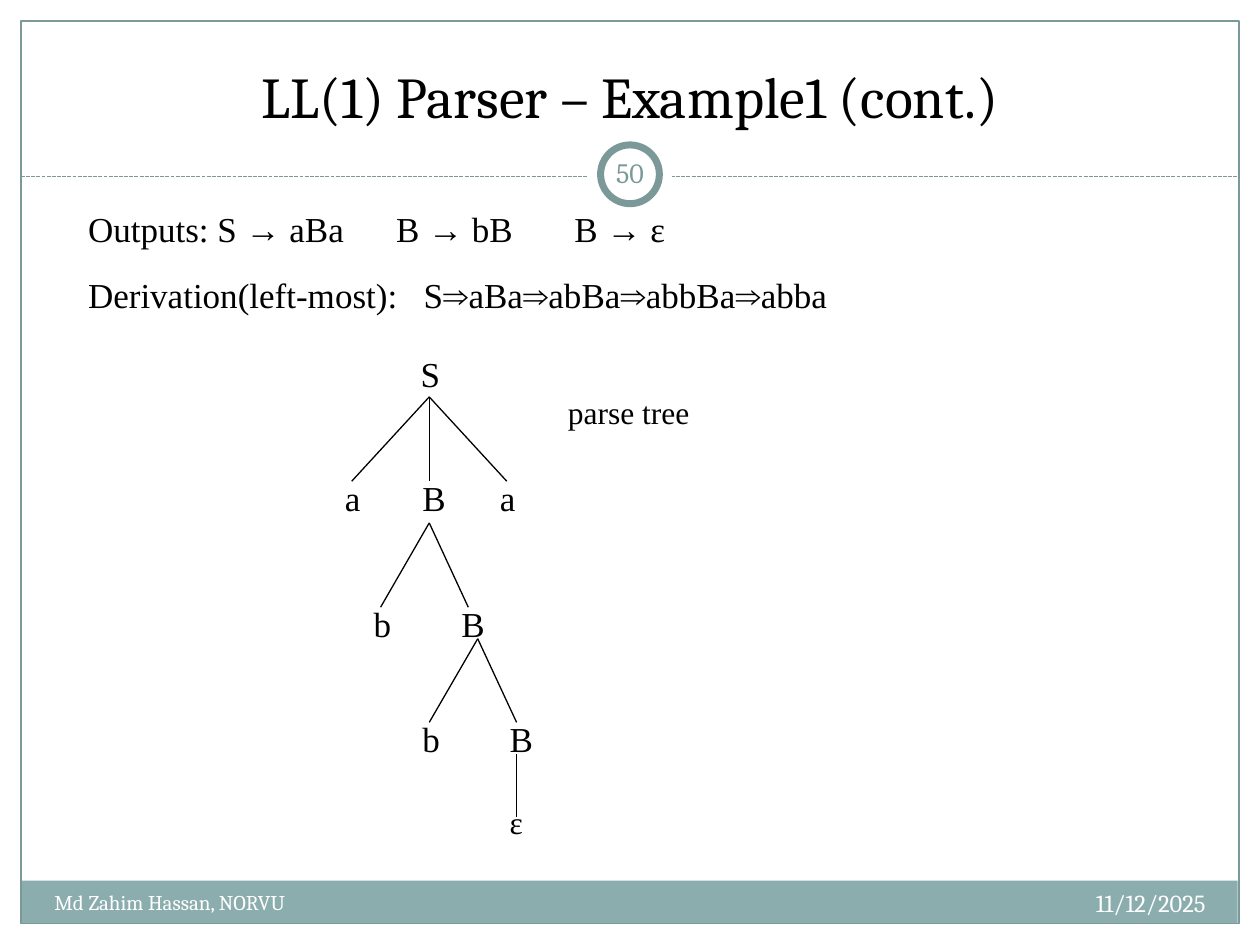
"""Build a slide showing an LL(1) derivation and its parse tree."""
from dataclasses import dataclass

import pptx
import pptx.dml.color
import pptx.enum.dml
import pptx.enum.shapes
import pptx.enum.text
import pptx.oxml
import pptx.oxml.ns
import pptx.util

Pt = pptx.util.Pt
Align = pptx.enum.text.PP_ALIGN
Anchor = pptx.enum.text.MSO_ANCHOR
ShapeType = pptx.enum.shapes.MSO_SHAPE

HEADING_FONT, BODY_FONT = "Cambria", "Times New Roman"
BLACK, WHITE, TEAL, BAND = "000000", "FFFFFF", "7C999A", "8CADAE"
LABEL_INDENT = 11


@dataclass(frozen=True)
class Label:
    text: str
    left: float
    top: float
    width: float
    height: float
    size: float
    font: str = BODY_FONT
    color: str = BLACK
    align: Align = Align.LEFT
    anchor: Anchor = Anchor.TOP
    inset: float = 7.2
    tabs: tuple[float, ...] = ()


@dataclass(frozen=True)
class Panel:
    kind: ShapeType
    left: float
    top: float
    width: float
    height: float
    fill: str | None = None
    line: str | None = None
    weight: float = 0.75


@dataclass(frozen=True)
class Branch:
    x: float
    top: float
    bottom: float
    children: tuple[tuple[str, float], ...]
    size: float = 20
    label_rise: float = 6.2


PANELS = (
    Panel(ShapeType.RECTANGLE, 11.75, 503.3, 695.5, 24.5, fill=BAND),
    Panel(ShapeType.RECTANGLE, 12, 12, 696, 515.8, line=TEAL),
)
BADGE = (
    Panel(ShapeType.OVAL, 336, 75.6, 48, 48, fill=WHITE),
    Panel(ShapeType.OVAL, 343.2, 82.8, 33.6, 33.6, fill=WHITE, line=TEAL, weight=4),
)
LABELS = (
    Label("LL(1) Parser – Example1 (cont.)", 24, 18, 672, 60, 33, HEADING_FONT,
          align=Align.CENTER, anchor=Anchor.BOTTOM),
    Label("11/12/2025", 456, 504, 240, 28.8, 14, HEADING_FONT, WHITE, Align.RIGHT),
    Label("Md Zahim Hassan, NORVU", 24, 504.7, 282, 28.8, 12, HEADING_FONT, WHITE),
    Label("50", 342, 81.5, 36, 34.5, 16, HEADING_FONT, TEAL,
          Align.CENTER, Anchor.MIDDLE, 3.6),
    Label("Outputs: S → aBa\tB → bB\tB → ε", 43.2, 115.2, 378, 31.5, 20, tabs=(176, 278)),
    Label("Derivation(left-most):\tS⇒aBa⇒abBa⇒abbBa⇒abba", 43.2, 152.8, 461, 31.5, 20,
          tabs=(191.8,)),
    Label("S", 233.2, 198, 26, 31.5, 20),
    Label("parse tree", 317.5, 221, 92, 28.8, 18),
)
BRANCHES = (
    Branch(245.3, 226.8, 275, (("a", 201), ("B", 245.3), ("a", 289.6))),
    Branch(245.3, 298.8, 347, (("b", 217.5), ("B", 267.6))),
    Branch(273, 365, 412.8, (("b", 245.3), ("B", 295.2))),
    Branch(295.2, 430.6, 466.6, (("ε", 295.2),), 18, 11.5),
)


def rgb(color: str) -> pptx.dml.color.RGBColor:
    return pptx.dml.color.RGBColor.from_string(color)


def draw_panel(slide: pptx.slide.Slide, panel: Panel) -> None:
    shape = slide.shapes.add_shape(
        panel.kind, Pt(panel.left), Pt(panel.top), Pt(panel.width), Pt(panel.height))
    shape.shadow.inherit = False
    if panel.fill:
        shape.fill.solid()
        shape.fill.fore_color.rgb = rgb(panel.fill)
    else:
        shape.fill.background()
    if panel.line:
        shape.line.color.rgb = rgb(panel.line)
        shape.line.width = Pt(panel.weight)
    else:
        shape.line.fill.background()


def draw_line(slide: pptx.slide.Slide, start: tuple[float, float],
              end: tuple[float, float], color: str = BLACK, dashed: bool = False) -> None:
    connector = slide.shapes.add_connector(
        pptx.enum.shapes.MSO_CONNECTOR.STRAIGHT, *map(Pt, start + end))
    connector.line.color.rgb = rgb(color)
    connector.line.width = Pt(0.75)
    if dashed:
        connector.line.dash_style = pptx.enum.dml.MSO_LINE.SQUARE_DOT
    properties = connector._element.spPr
    properties.append(pptx.oxml.parse_xml(
        f"<a:effectLst {pptx.oxml.ns.nsdecls('a')}/>"))


def set_tabs(paragraph: pptx.text.text._Paragraph, tabs: tuple[float, ...]) -> None:
    stops = "".join(f'<a:tab pos="{int(Pt(tab))}" algn="l"/>' for tab in tabs)
    paragraph._p.get_or_add_pPr().append(pptx.oxml.parse_xml(
        f"<a:tabLst {pptx.oxml.ns.nsdecls('a')}>{stops}</a:tabLst>"))


def draw_label(slide: pptx.slide.Slide, label: Label) -> None:
    shape = slide.shapes.add_textbox(
        Pt(label.left), Pt(label.top), Pt(label.width), Pt(label.height))
    frame = shape.text_frame
    frame.word_wrap = True
    frame.vertical_anchor = label.anchor
    frame.margin_left = frame.margin_right = Pt(label.inset)
    frame.margin_top = frame.margin_bottom = Pt(3.6)
    paragraph = frame.paragraphs[0]
    paragraph.alignment = label.align
    if label.tabs:
        set_tabs(paragraph, label.tabs)
    run = paragraph.add_run()
    run.text = label.text
    run.font.name = label.font
    run.font.size = Pt(label.size)
    run.font.color.rgb = rgb(label.color)


def draw_branch(slide: pptx.slide.Slide, branch: Branch) -> None:
    for symbol, x in branch.children:
        draw_line(slide, (branch.x, branch.top), (x, branch.bottom))
        draw_label(slide, Label(symbol, x - LABEL_INDENT, branch.bottom - branch.label_rise,
                                28, 31.5, branch.size))


def main() -> None:
    presentation = pptx.Presentation()
    presentation.slide_width, presentation.slide_height = Pt(720), Pt(540)
    slide = presentation.slides.add_slide(presentation.slide_layouts[6])
    for panel in PANELS:
        draw_panel(slide, panel)
    draw_line(slide, (12, 100.8), (708, 100.8), TEAL, dashed=True)
    for panel in BADGE:
        draw_panel(slide, panel)
    for label in LABELS:
        draw_label(slide, label)
    for branch in BRANCHES:
        draw_branch(slide, branch)
    presentation.save("out.pptx")


if __name__ == "__main__":
    main()
